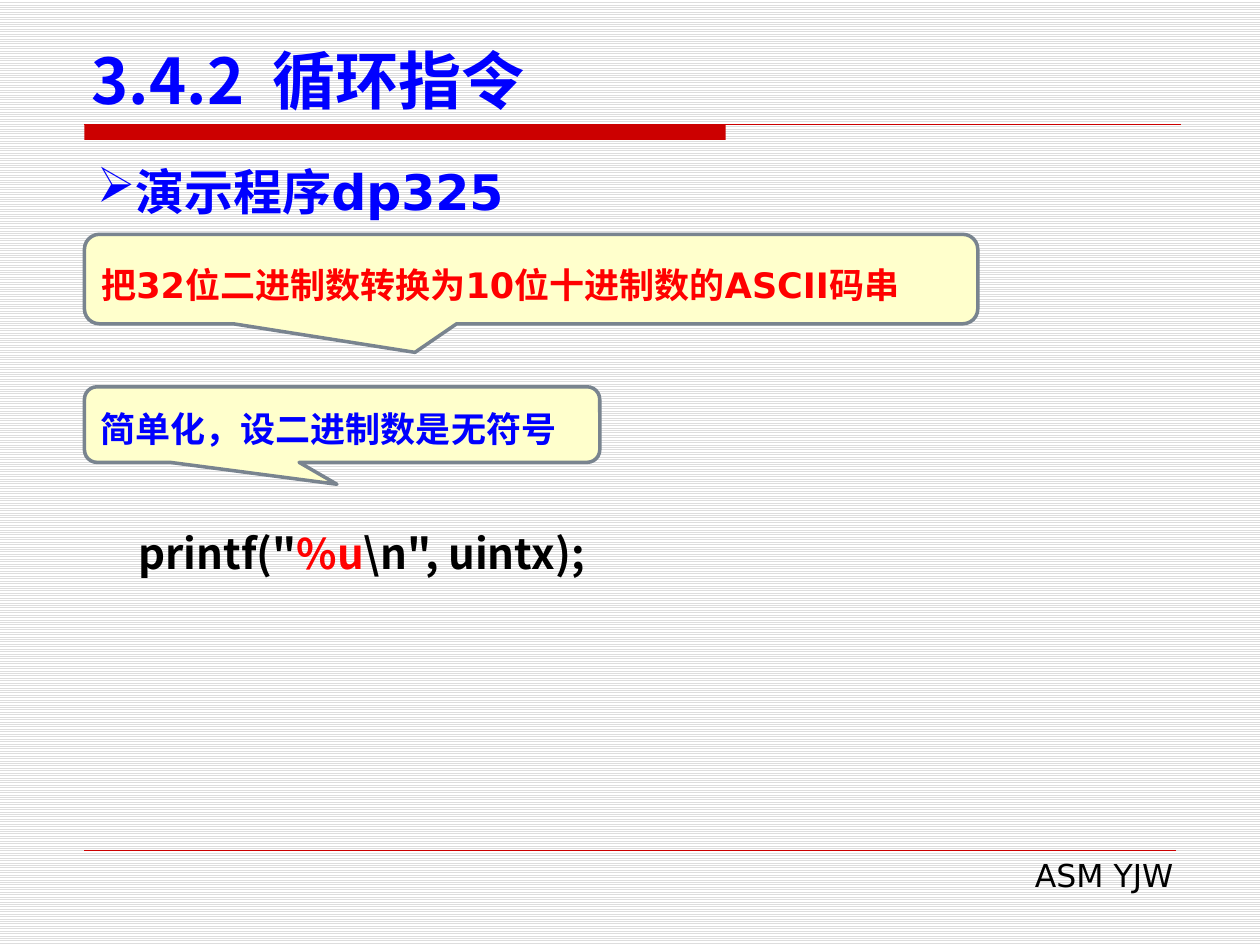
from pptx import Presentation
from pptx.dml.color import RGBColor
from pptx.enum.dml import MSO_PATTERN
from pptx.enum.shapes import MSO_CONNECTOR, MSO_SHAPE
from pptx.enum.text import MSO_ANCHOR, PP_ALIGN
from pptx.oxml.ns import qn
from pptx.util import Inches, Pt
from lxml import etree

HATCH = MSO_PATTERN.LIGHT_HORIZONTAL
LINE = MSO_CONNECTOR.STRAIGHT
RECT = MSO_SHAPE.RECTANGLE
BUBBLE = MSO_SHAPE.ROUNDED_RECTANGULAR_CALLOUT
MIDDLE = MSO_ANCHOR.MIDDLE
LEFT, RIGHT = PP_ALIGN.LEFT, PP_ALIGN.RIGHT

COLS, ROWS = 100, 75
CELL = Inches(0.1)
EDGE = 6.7
SANS, HAN = "DejaVu Sans", "Noto Sans CJK SC"
BLUE, RED, BLACK = "0000FF", "FF0000", "000000"
RULE, CREAM, GREY = "CC0000", "FFFFCC", "79848F"


def color(code):
    return RGBColor.from_string(code)


def grid(*cells):
    return [round(cell * CELL) for cell in cells]


class Deck:
    def __init__(self):
        self.file = Presentation()
        self.file.slide_width, self.file.slide_height = grid(COLS, ROWS)
        self.slide = self.file.slides.add_slide(self.file.slide_layouts[6])
        self.shapes = self.slide.shapes

    def back(self, front, base):
        fill = self.slide.background.fill
        fill.patterned()
        fill.pattern = HATCH
        fill.fore_color.rgb = color(front)
        fill.back_color.rgb = color(base)

    def rule(self, left, right, row, width):
        line = self.shapes.add_connector(LINE, *grid(left, row, right, row))
        line.line.color.rgb = color(RULE)
        line.line.width = Pt(width)
        etree.SubElement(line._element.spPr, qn("a:effectLst"))

    def bar(self, *box):
        shape = self.shapes.add_shape(RECT, *grid(*box))
        shape.shadow.inherit = False
        shape.fill.solid()
        shape.fill.fore_color.rgb = color(RULE)
        shape.line.fill.background()

    def label(self, shape, runs, size, font, bold=True, align=LEFT):
        frame = shape.text_frame
        frame.word_wrap = True
        frame.vertical_anchor = MIDDLE
        para = frame.paragraphs[0]
        para.alignment = align
        for text, shade in runs:
            run = para.add_run()
            run.text = text
            run.font.size = Pt(size)
            run.font.bold = bold
            run.font.name = font
            run.font.color.rgb = color(shade)
            etree.SubElement(run._r.get_or_add_rPr(), qn("a:ea"), typeface=HAN)
        return para

    def text(self, box, runs, size, font, **style):
        shape = self.shapes.add_textbox(*grid(*box))
        return self.label(shape, runs, size, font, **style)

    def item(self, box, runs, size, font, mark):
        props = self.text(box, runs, size, font)._p.get_or_add_pPr()
        etree.SubElement(props, qn("a:buChar"), char=mark)

    def code(self, box, runs, size, font, indent):
        props = self.text(box, runs, size, font)._p.get_or_add_pPr()
        props.set("marL", str(grid(indent)[0]))

    def bubble(self, box, tip, runs, font, pitch):
        shape = self.shapes.add_shape(BUBBLE, *grid(*box))
        shape.shadow.inherit = False
        shape.adjustments[0], shape.adjustments[1] = tip
        shape.fill.solid()
        shape.fill.fore_color.rgb = color(CREAM)
        shape.line.color.rgb = color(GREY)
        shape.line.width = Pt(2)
        self.label(shape, runs, 20, font).line_spacing = Pt(pitch)

    def save(self):
        self.file.save("out.pptx")


def main():
    deck = Deck()
    deck.back("DDDDDD", "FFFFFF")
    deck.bar(EDGE, 9.9, 50.9, 1.2)
    deck.rule(EDGE, 93.7, 9.9, 0.75)
    deck.rule(EDGE, 93.3, 67.5, 0.25)
    deck.text((38.2, 67.4, 55.9, 4), [("ASM YJW", BLACK)], 18, SANS,
              bold=False, align=RIGHT)
    deck.item((EDGE, 12.3, 86.6, 5.7), [("演示程序dp325", BLUE)], 28, SANS, "➢")
    deck.code((EDGE, 41.4, 90.6, 5),
              [('printf("', BLACK), ("%u", RED), ('\\n", uintx);', BLACK)],
              24, HAN, 3.3)
    deck.bubble((EDGE, 18.6, 70.9, 7.1), (-0.13, 0.82),
                [("把32位二进制数转换为10位十进制数的ASCII码串", RED)], SANS, 30)
    deck.text((6.3, 3, 87.5, 6.6), [("3.4.2  循环指令", BLUE)], 36, HAN)
    deck.bubble((EDGE, 30.7, 40.9, 6), (-0.01, 0.79),
                [("简单化，设二进制数是无符号", BLUE)], HAN, 29)
    deck.save()


if __name__ == "__main__":
    main()
